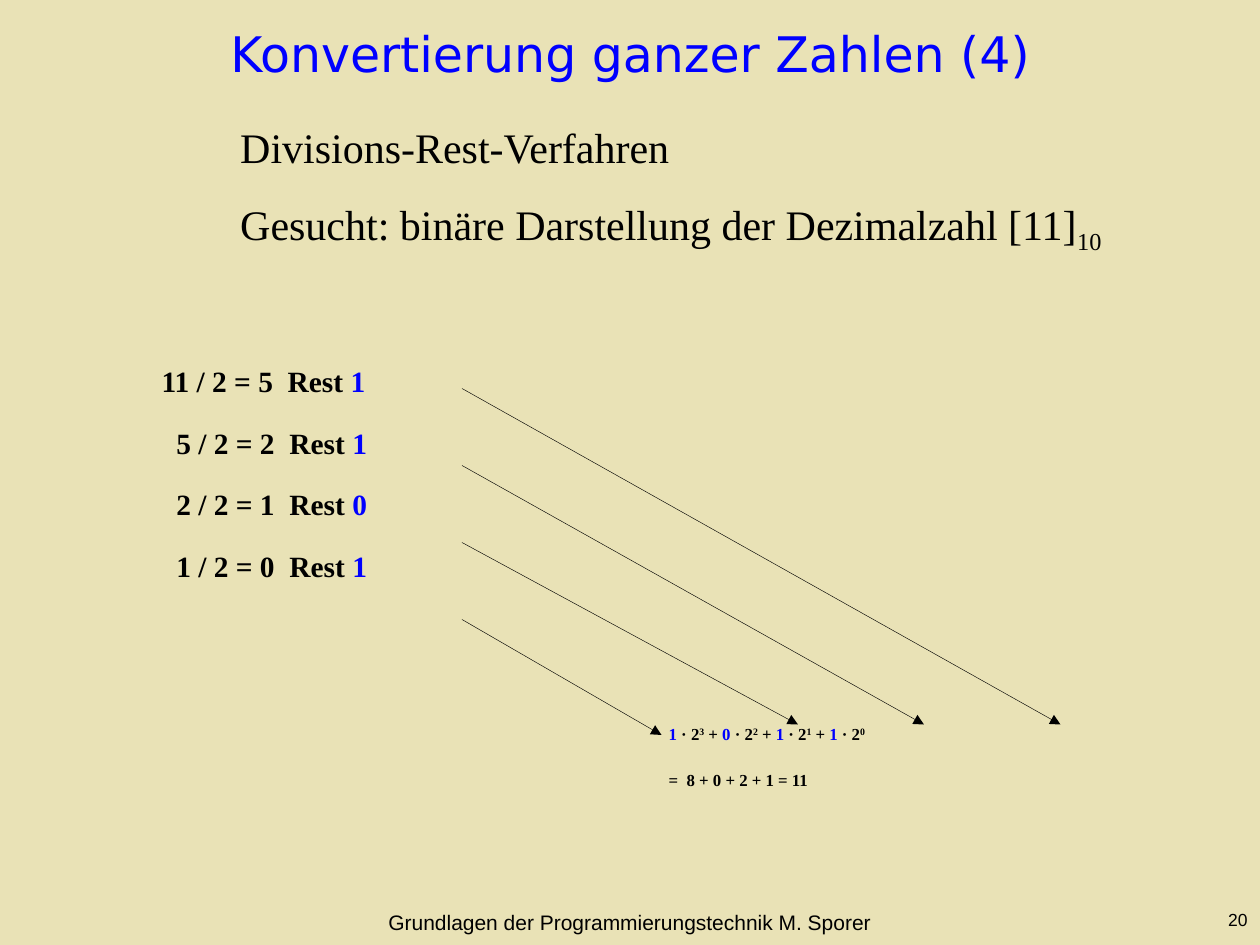
from pptx import Presentation, util as u
from pptx.dml.color import RGBColor
from pptx.enum import shapes, text
from pptx.oxml import parse_xml
from pptx.oxml.ns import nsdecls

BLACK, BLUE, SAND = "000000", "0000FF", "E9E2B6"
SERIF = "Times New Roman"
LEFT, MID, RIGHT = text.PP_ALIGN.LEFT, text.PP_ALIGN.CENTER, text.PP_ALIGN.RIGHT

deck = Presentation()
deck.slide_width, deck.slide_height = u.Inches(10), u.Inches(7.5)
COL, ROW = deck.slide_width / 120, deck.slide_height / 90
slide = deck.slides.add_slide(deck.slide_layouts[5])


def color(code):
    return RGBColor.from_string(code)


def write(paras, box, shape=None, font=SERIF, size=24, bold=False, align=LEFT,
          gap=15, inset=(0.1, 0.1), dents=(), anchor=text.MSO_ANCHOR.TOP):
    left, top, width, height = box
    place = [int(n) for n in (left * COL, top * ROW, width * COL, height * ROW)]
    shape = shape or slide.shapes.add_textbox(*place)
    shape.left, shape.top, shape.width, shape.height = place
    frame = shape.text_frame
    frame.word_wrap = True
    frame.auto_size = text.MSO_AUTO_SIZE.NONE
    frame.vertical_anchor = anchor
    frame.margin_left, frame.margin_right = [u.Inches(n) for n in inset]
    for i, parts in enumerate(paras):
        para = frame.add_paragraph() if i else frame.paragraphs[0]
        para.alignment = align
        para.space_before = u.Pt(gap)
        if dents:
            para._p.get_or_add_pPr().set("marL", str(u.Pt(dents[i])))
        for words, tone, shift in parts:
            run = para.add_run()
            run.text = words
            run.font.name, run.font.size, run.font.bold = font, u.Pt(size), bold
            run.font.color.rgb = color(tone)
            if shift:
                run.font._element.set("baseline", str(shift * 1000))


slide.background.fill.solid()
slide.background.fill.fore_color.rgb = color(SAND)

write([[("Konvertierung ganzer Zahlen (4)", BLUE, 0)]], (0, 2, 120, 6),
      shape=slide.shapes.title, font="DejaVu Sans", size=28, align=MID, gap=0,
      anchor=text.MSO_ANCHOR.MIDDLE)

write([[("Divisions-Rest-Verfahren", BLACK, 0)],
       [("Gesucht: binäre Darstellung der Dezimalzahl [11]", BLACK, 0), ("10", BLACK, -25)]],
      (21.7, 11, 91, 14))

steps = [("11 / 2 = 5", "1"), ("5 / 2 = 2", "1"), ("2 / 2 = 1", "0"), ("1 / 2 = 0", "1")]
write([[(f"{sum_}  Rest ", BLACK, 0), (rest, BLUE, 0)] for sum_, rest in steps],
      (13, 34, 33, 22), size=16.8, bold=True, inset=(0.14, 0),
      dents=(4.2, 12.6, 12.6, 12.6))

terms = []
for power, (sum_, rest) in reversed(list(enumerate(steps))):
    terms += [(f"{rest} ", BLUE, 0), ("· 2", BLACK, 0), (str(power), BLACK, 30)]
    if power:
        terms.append((" + ", BLACK, 0))
write([terms, [("=  8 + 0 + 2 + 1 = 11", BLACK, 0)]], (62, 68.3, 52, 10.7),
      size=9.6, bold=True, inset=(0.14, 0))

for i, (col, row) in enumerate([(101, 69), (88, 69), (76, 69), (63, 70)]):
    start = 37 + i * 22 / 3
    line = slide.shapes.add_connector(
        shapes.MSO_CONNECTOR.STRAIGHT,
        int(44 * COL), int(start * ROW), int(col * COL), int(row * ROW))
    line.line.color.rgb = color(BLACK)
    line.line.width = u.Pt(0.25)
    line.line._get_or_add_ln().append(
        parse_xml(f'<a:tailEnd {nsdecls("a")} type="triangle"/>'))
    line._element.spPr.append(parse_xml(f'<a:effectLst {nsdecls("a")}/>'))

write([[("Grundlagen der Programmierungstechnik M. Sporer", BLACK, 0)]],
      (2, 86, 116, 4), font="Arial", size=12, align=MID, gap=7.5)
write([[("20", BLACK, 0)]], (113, 86, 7, 4), font="Arial", size=10,
      align=RIGHT, gap=6.2)

deck.save("out.pptx")
